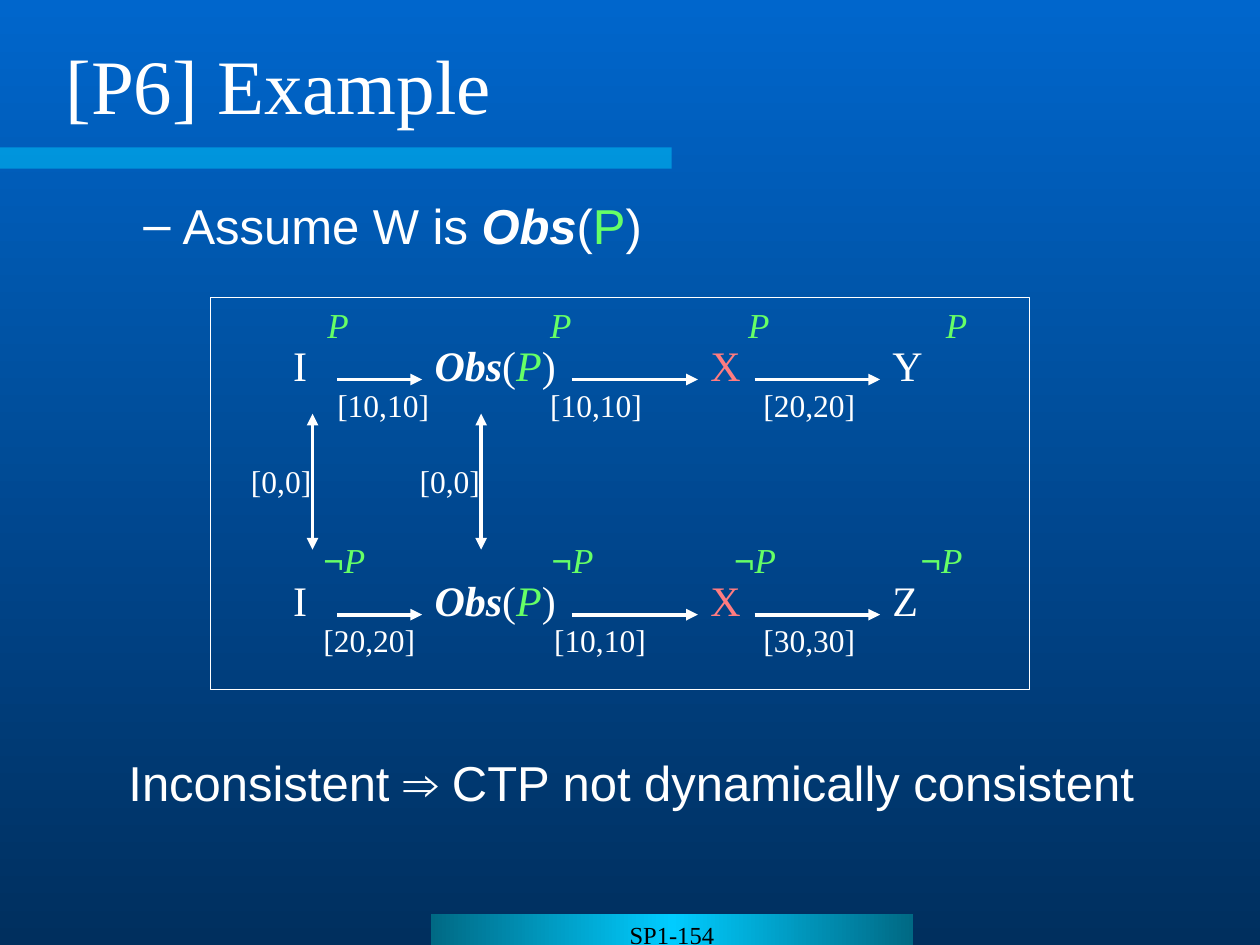
from copy import deepcopy

from pptx import Presentation
from pptx.dml.color import RGBColor
from pptx.enum.shapes import MSO_CONNECTOR, MSO_SHAPE
from pptx.enum.text import MSO_ANCHOR, PP_ALIGN
from pptx.oxml.ns import qn
from pptx.oxml.xmlchemy import OxmlElement
from pptx.util import Cm, Pt

RECTANGLE = MSO_SHAPE.RECTANGLE
STRAIGHT = MSO_CONNECTOR.STRAIGHT
MIDDLE = MSO_ANCHOR.MIDDLE
CENTER = PP_ALIGN.CENTER

WHITE, GREEN, RED, CYAN, TEAL = "FFFFFF", "66FF66", "FF7C80", "00CCFF", "006984"
SERIF, SANS = "Times New Roman", "Arial"


def colour(value):
    return RGBColor.from_string(value)


def add_xml(parent, tag, **attributes):
    child = OxmlElement(tag)
    for name, value in attributes.items():
        child.set(name, value)
    parent.append(child)
    return child


def write(para, spans, size, font=SERIF):
    """Fill a paragraph with (text, colour, style) spans; style may hold b and i,
    and s for the sans font."""
    for text, hue, style in spans:
        span = para.add_run()
        span.text = text
        span.font.size = Pt(size)
        span.font.name = SANS if "s" in style else font
        span.font.bold = "b" in style
        span.font.italic = "i" in style
        span.font.color.rgb = colour(hue)


def add_text(shapes, left, top, width, height, spans, size, font=SERIF):
    box = shapes.add_textbox(Cm(left), Cm(top), Cm(width), Cm(height))
    box.text_frame.word_wrap = True
    write(box.text_frame.paragraphs[0], spans, size, font)
    return box


def add_rectangle(shapes, left, top, width, height):
    shape = shapes.add_shape(RECTANGLE, Cm(left), Cm(top), Cm(width), Cm(height))
    shape.shadow.inherit = False
    shape.line.fill.background()
    return shape


def add_arrow(shapes, start, end, double=False):
    line = shapes.add_connector(STRAIGHT, *(Cm(value) for value in start + end))
    line.line.color.rgb = colour(WHITE)
    line.line.width = Pt(2.25)
    outline = line.line._get_or_add_ln()
    if double:
        add_xml(outline, "a:headEnd", type="triangle")
    add_xml(outline, "a:tailEnd", type="triangle")
    add_xml(line._element.spPr, "a:effectLst")


def add_background(page):
    fill = page.background.fill
    fill.gradient()
    fill.gradient_angle = 270
    for stop, hue in zip(fill.gradient_stops, ("0066CC", "002F5E")):
        stop.color.rgb = colour(hue)


def add_title(shapes, left, top, width, height):
    bar = add_rectangle(shapes, 0, 2.97, 13.54, 0.43)
    bar.fill.solid()
    bar.fill.fore_color.rgb = colour(CYAN)
    add_xml(bar._element.find(".//" + qn("a:srgbClr")), "a:alpha", val="50000")
    box = add_text(shapes, left, top, width, height,
                   [("[P6] Example", WHITE, "")], 44)
    box.text_frame.vertical_anchor = MIDDLE


def add_footer(shapes, left, top, width, height):
    bar = add_rectangle(shapes, left, top, width, height)
    bar.fill.gradient()
    bar.fill.gradient_angle = 0
    stops = bar._element.find(".//" + qn("a:gsLst"))
    stops.insert(1, deepcopy(stops[0]))
    for index, (stop, hue) in enumerate(zip(bar.fill.gradient_stops, (TEAL, CYAN, TEAL))):
        stop.color.rgb = colour(hue)
        stop.position = index / 2
    frame = bar.text_frame
    frame.vertical_anchor = MSO_ANCHOR.TOP
    para = frame.paragraphs[0]
    para.alignment = CENTER
    write(para, [("SP1-154", "000000", "")], 14)


def add_statement(shapes, left, top, width, height, spans, bullet=None):
    box = add_text(shapes, left, top, width, height, spans, 28, SANS)
    properties = box.text_frame.paragraphs[0]._p.get_or_add_pPr()
    properties.set("marL", str(Cm(2.06)))
    properties.set("indent", str(Cm(-0.79)))
    if bullet:
        add_xml(add_xml(properties, "a:buClr"), "a:srgbClr", val=WHITE)
        add_xml(properties, "a:buFont", typeface=SANS)
        add_xml(properties, "a:buChar", char=bullet)
    else:
        add_xml(properties, "a:buNone")


def add_timeline(shapes, left, top, last_event, condition, condition_lefts,
                 durations, duration_lefts):
    """One row of events joined by arrows, with conditions above and durations below."""
    observation = [("Obs", WHITE, "bi"), ("(", WHITE, ""), ("P", GREEN, "i"), (")", WHITE, "")]
    events = [
        (1.42, 1.14, [("I", WHITE, "")]),
        (4.27, 3.02, observation),
        (9.83, 1.14, [("X", RED, "")]),
        (13.5, 1.14, [(last_event, WHITE, "")]),
    ]
    for x, width, spans in events:
        add_text(shapes, left + x, top + 0.71, width, 1.27, spans, 24)
    for (x, width, _), (next_x, _, _) in zip(events, events[1:]):
        add_arrow(shapes, (left + x + width, top + 1.65), (left + next_x, top + 1.65))
    for x in condition_lefts:
        add_text(shapes, left + x, top, 1.45, 1.11, condition, 20)
    for x, duration in zip(duration_lefts, durations):
        add_text(shapes, left + x, top + 1.65, 2.4, 1.02, [(duration, WHITE, "")], 18)


def add_diagram(shapes, left, top, width, height):
    frame = add_rectangle(shapes, left, top, width, height)
    frame.fill.background()
    frame.line.color.rgb = colour(WHITE)
    frame.line.width = Pt(0.75)
    add_timeline(shapes, left, top, "Y", [("P", GREEN, "i")],
                 (2.11, 6.6, 10.59, 14.58),
                 ("[10,10]", "[10,10]", "[20,20]"), (2.31, 6.6, 10.9))
    add_timeline(shapes, left, top + 4.74, "Z", [("¬", GREEN, "is"), ("P", GREEN, "i")],
                 (2.03, 6.63, 10.31, 14.07),
                 ("[20,20]", "[10,10]", "[30,30]"), (2.03, 6.68, 10.9))
    for x in (left + 2.06, left + 5.46):
        add_arrow(shapes, (x, top + 5.08), (x, top + 2.34), double=True)
        add_text(shapes, x - 1.49, top + 3.18, 1.75, 1.02, [("[0,0]", WHITE, "")], 18)


def main():
    deck = Presentation()
    deck.slide_width, deck.slide_height = Cm(25.4), Cm(19.05)
    page = deck.slides.add_slide(deck.slide_layouts[6])
    shapes = page.shapes
    add_background(page)
    add_title(shapes, 1.07, 0.64, 23.5, 2.11)
    add_footer(shapes, 8.68, 18.42, 9.73, 0.63)
    add_statement(shapes, 1.37, 3.81, 16.36, 1.57,
                  [("Assume W is", WHITE, ""), (" Obs", WHITE, "bi"), ("(", WHITE, ""),
                   ("P", GREEN, ""), (")", WHITE, "")], bullet="–")
    add_diagram(shapes, 4.24, 6, 16.51, 7.9)
    add_statement(shapes, 1.07, 15.04, 23.5, 1.57,
                  [("Inconsistent ⇒ CTP not dynamically consistent", WHITE, "")])
    deck.save("out.pptx")


if __name__ == "__main__":
    main()
